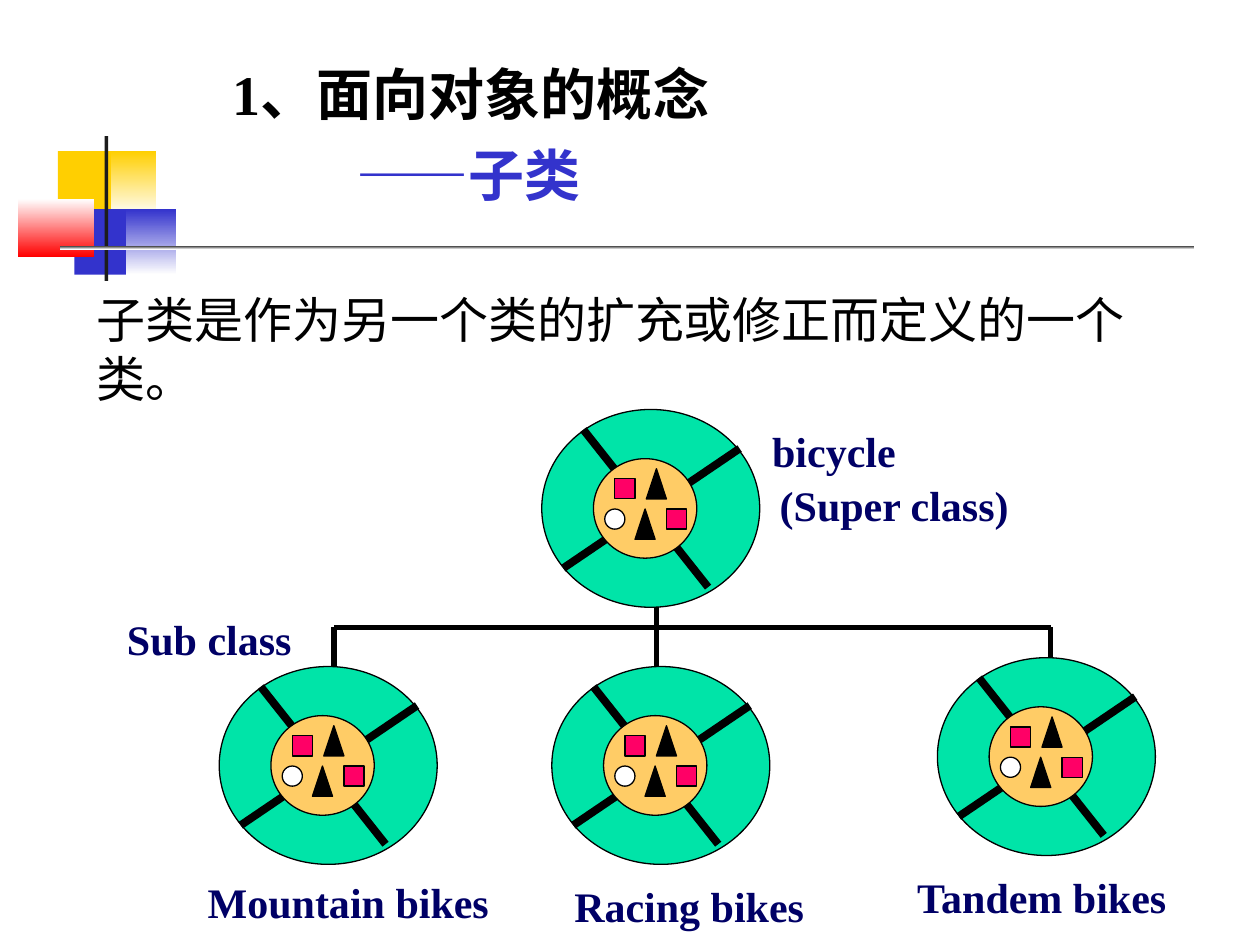
from typing import NamedTuple

from lxml.etree import SubElement
from pptx import Presentation
from pptx.dml.color import RGBColor
from pptx.enum.shapes import MSO_CONNECTOR, MSO_SHAPE
from pptx.enum.text import MSO_AUTO_SIZE
from pptx.oxml.ns import qn
from pptx.util import Inches, Pt

BLACK, WHITE, NAVY, BLUE = "000000", "FFFFFF", "000066", "3333CC"
GREEN, ORANGE, PINK = "00E4A8", "FFCC66", "FF0066"
YELLOW, RED, CHARCOAL = "FFCF01", "FF0000", "1C1C1C"
RECT, OVAL = MSO_SHAPE.RECTANGLE, MSO_SHAPE.OVAL
TRIANGLE = MSO_SHAPE.ISOSCELES_TRIANGLE


class Part(NamedTuple):
    kind: MSO_SHAPE
    x: float
    y: float
    w: float
    h: float
    fill: str
    fade_to: str | None = None


class Line(NamedTuple):
    x1: float
    y1: float
    x2: float
    y2: float


class Label(NamedTuple):
    text: str
    x: float
    y: float
    w: float


class Para(NamedTuple):
    text: str
    color: str
    indent: float = 0


DECORATION = [
    Part(RECT, 0.46, 1.2, 0.48, 0.52, YELLOW),
    Part(RECT, 0.88, 1.2, 0.36, 0.52, YELLOW, WHITE),
    Part(RECT, 0.59, 1.66, 0.46, 0.52, BLUE),
    Part(RECT, 1, 1.66, 0.4, 0.52, BLUE, WHITE),
    Part(RECT, 0.14, 1.58, 0.61, 0.46, WHITE, RED),
    Part(RECT, 0.83, 1.08, 0.03, 1.15, CHARCOAL),
    Part(RECT, 0.48, 1.95, 9, 0.03, CHARCOAL, WHITE),
]

# Offsets from the top left corner of a wheel
RIM = Part(OVAL, 0, 0, 1.73, 1.57, GREEN)
SPOKES = [Line(0.17, 1.26, 1.57, 0.31), Line(0.33, 0.16, 1.32, 1.41)]
HUB = [
    Part(OVAL, 0.41, 0.39, 0.82, 0.79, ORANGE),
    Part(RECT, 0.58, 0.55, 0.16, 0.16, PINK),
    Part(TRIANGLE, 0.74, 0.79, 0.16, 0.24, BLACK),
    Part(TRIANGLE, 0.83, 0.47, 0.16, 0.24, BLACK),
    Part(RECT, 0.99, 0.79, 0.16, 0.16, PINK),
    Part(OVAL, 0.5, 0.79, 0.16, 0.16, WHITE),
]
WHEELS = [(7.44, 5.22), (4.38, 5.29), (1.74, 5.29), (4.3, 3.25)]

TREE = [
    Line(2.65, 4.98, 8.34, 4.98),
    Line(5.21, 4.82, 5.21, 5.29),
    Line(2.65, 4.98, 2.65, 5.29),
    Line(8.34, 4.98, 8.34, 5.22),
]
LABELS = [
    Label("bicycle", 6.03, 3.33, 1.25),
    Label("(Super class)", 6.09, 3.76, 2.1),
    Label("Mountain bikes", 1.55, 6.91, 2.5),
    Label("Racing bikes", 4.46, 6.94, 2.1),
    Label("Tandem bikes", 7.18, 6.87, 2.3),
    Label("Sub class", 0.91, 4.82, 1.6),
]


def rgb(color: str) -> RGBColor:
    return RGBColor.from_string(color)


def add_part(shapes, part: Part, dx: float = 0, dy: float = 0, outline: bool = False):
    sp = shapes.add_shape(part.kind, Inches(part.x + dx), Inches(part.y + dy),
                          Inches(part.w), Inches(part.h))
    sp.shadow.inherit = False
    if part.fade_to:
        sp.fill.gradient()
        sp.fill.gradient_angle = 270
        for stop, color in zip(sp.fill.gradient_stops, (part.fill, part.fade_to)):
            stop.color.rgb = rgb(color)
    else:
        sp.fill.solid()
        sp.fill.fore_color.rgb = rgb(part.fill)
    if outline:
        sp.line.color.rgb = rgb(BLACK)
        sp.line.width = Pt(0.75)
    else:
        sp.line.fill.background()


def add_line(shapes, line: Line, width: float, dx: float = 0, dy: float = 0):
    cxn = shapes.add_connector(MSO_CONNECTOR.STRAIGHT,
                               Inches(line.x1 + dx), Inches(line.y1 + dy),
                               Inches(line.x2 + dx), Inches(line.y2 + dy))
    cxn.line.color.rgb = rgb(BLACK)
    cxn.line.width = Pt(width)
    SubElement(cxn._element.spPr, qn("a:effectLst"))


def add_wheel(shapes, x: float, y: float):
    wheel = shapes.add_group_shape().shapes
    add_part(wheel, RIM, x, y, outline=True)
    for spoke in SPOKES:
        add_line(wheel, spoke, 4.5, x, y)
    for part in HUB:
        add_part(wheel, part, x, y, outline=True)


def add_text(shapes, paras: list[Para], x: float, y: float, w: float, h: float, *,
             size: float, font: str = "Times New Roman", bold: bool = True,
             grow: bool = True, before: float = 0):
    tf = shapes.add_textbox(Inches(x), Inches(y), Inches(w), Inches(h)).text_frame
    tf.word_wrap = True
    tf.auto_size = MSO_AUTO_SIZE.SHAPE_TO_FIT_TEXT if grow else MSO_AUTO_SIZE.NONE
    for i, para in enumerate(paras):
        p = tf.add_paragraph() if i else tf.paragraphs[0]
        p.space_before = Pt(before)
        if para.indent:
            p._p.get_or_add_pPr().set("marL", str(Inches(para.indent)))
        r = p.add_run()
        r.text = para.text
        r.font.size = Pt(size)
        r.font.name = font
        r.font.bold = bold
        r.font.color.rgb = rgb(para.color)


def main():
    prs = Presentation()
    prs.slide_width, prs.slide_height = Inches(10), Inches(7.5)
    s = prs.slides.add_slide(prs.slide_layouts[6])
    shapes = s.shapes

    for part in DECORATION:
        add_part(shapes, part)
    add_text(shapes, [Para("子类是作为另一个类的扩充或修正而定义的一个类。", BLACK)],
             0.67, 2.25, 8.7, 0.83, size=28, font="Lato", bold=False,
             grow=False, before=7)
    for x, y in WHEELS:
        add_wheel(shapes, x, y)
    for line in TREE:
        add_line(shapes, line, 3)
    for label in LABELS:
        add_text(shapes, [Para(label.text, NAVY)], label.x, label.y, label.w, 0.5,
                 size=24)
    add_text(shapes, [Para("1、面向对象的概念", BLACK), Para("——子类", BLUE, 0.98)],
             1.75, 0.42, 4.67, 1.28, size=32, before=8)
    prs.save("out.pptx")


if __name__ == "__main__":
    main()
